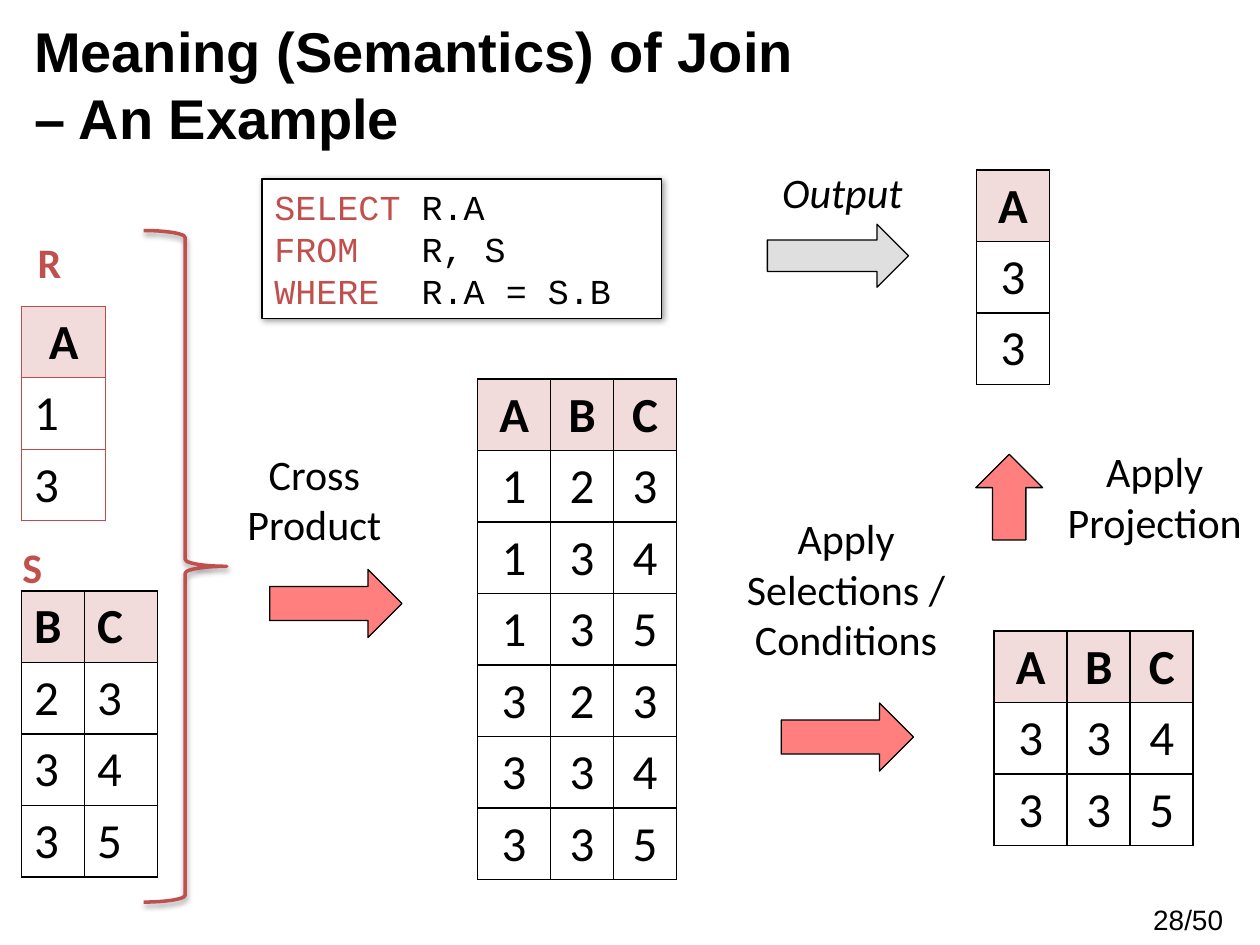
from lxml import etree
from pptx import Presentation
from pptx.dml.color import RGBColor
from pptx.enum import shapes, text
from pptx.oxml.ns import qn
from pptx.util import Inches, Pt

BLACK = RGBColor(0x00, 0x00, 0x00)
WHITE = RGBColor(0xFF, 0xFF, 0xFF)
BRICK = RGBColor(0xC0, 0x50, 0x4D)
RULE_RED = RGBColor(0xBF, 0x4C, 0x48)
PINK = RGBColor(0xF2, 0xDC, 0xDB)
RED = RGBColor(0xFF, 0x00, 0x00)
GRAY = RGBColor(0xC0, 0xC0, 0xC0)

LEFT, CENTER = text.PP_ALIGN.LEFT, text.PP_ALIGN.CENTER
SHAPE = shapes.MSO_SHAPE
COL_A, COL_B, COL_C = 0.58, 0.5, 0.5


def inches(box):
    return [Inches(v) for v in box]


def add_run(p, words, size, font="Calibri", color=BLACK, bold=False, italic=False):
    r = p.add_run()
    r.text = words
    r.font.size = Pt(size)
    r.font.name = font
    r.font.color.rgb = color
    r.font.bold = bold
    r.font.italic = italic


def add_shadow(sp, alpha, blur, dist, angle):
    effects = sp._element.spPr.find(qn("a:effectLst"))
    outer = etree.SubElement(effects, qn("a:outerShdw"), blurRad=str(Pt(blur)),
                             dist=str(Pt(dist)), dir=str(angle * 60000), rotWithShape="0")
    clr = etree.SubElement(outer, qn("a:srgbClr"), val=str(BLACK))
    etree.SubElement(clr, qn("a:alpha"), val=str(alpha * 1000))


def add_outlined(s, kind, box, line=BLACK, width=0.75):
    sp = s.shapes.add_shape(kind, *inches(box))
    sp.shadow.inherit = False
    sp.line.color.rgb = line
    sp.line.width = Pt(width)
    return sp


def add_title(s, box, lines):
    title = s.shapes.title
    title.left, title.top, title.width, title.height = inches(box)
    tf = title.text_frame
    tf.word_wrap = True
    tf.auto_size = text.MSO_AUTO_SIZE.NONE
    tf.vertical_anchor = text.MSO_ANCHOR.TOP
    for i, line in enumerate(lines):
        p = tf.add_paragraph() if i else tf.paragraphs[0]
        p.alignment = LEFT
        add_run(p, line, 32, "Arial", bold=True)


def add_label(s, box, words, size=24, align=CENTER, wrap=True, **style):
    tf = s.shapes.add_textbox(*inches(box)).text_frame
    tf.word_wrap = wrap
    p = tf.paragraphs[0]
    p.alignment = align
    add_run(p, words, size, **style)


def add_query(s, box, clauses):
    sp = add_outlined(s, SHAPE.RECTANGLE, box)
    sp.fill.solid()
    sp.fill.fore_color.rgb = WHITE
    add_shadow(sp, 40, 4, 1, 45)
    tf = sp.text_frame
    tf.word_wrap = True
    for i, (keyword, rest) in enumerate(clauses):
        p = tf.add_paragraph() if i else tf.paragraphs[0]
        p.alignment = LEFT
        add_run(p, keyword, 20, "Courier New", BRICK)
        add_run(p, rest, 20, "Courier New")


def add_brace(s, box):
    sp = add_outlined(s, SHAPE.RIGHT_BRACE, box, BRICK, 2)
    sp.fill.background()
    add_shadow(sp, 38, 3.1, 1.6, 90)


def add_arrow(s, box, color=RED, rotation=0):
    sp = add_outlined(s, SHAPE.RIGHT_ARROW, box)
    sp.fill.solid()
    sp.fill.fore_color.rgb = color
    clr = sp._element.spPr.find(qn("a:solidFill"))[0]
    etree.SubElement(clr, qn("a:alpha"), val="50000")
    sp.rotation = rotation


def set_borders(cell, color, width):
    tcPr = cell._tc.get_or_add_tcPr()
    for side in ("lnL", "lnR", "lnT", "lnB"):
        ln = etree.SubElement(tcPr, qn("a:" + side), w=str(Pt(width)))
        fill = etree.SubElement(ln, qn("a:solidFill"))
        etree.SubElement(fill, qn("a:srgbClr"), val=str(color))


def add_relation(s, left, top, widths, rows, head_align=CENTER, body_align=CENTER,
                 rule=BLACK, rule_width=1):
    """Each row is a string with one character per column; the first is the header."""
    box = (left, top, sum(widths), 0.567 * len(rows))
    table = s.shapes.add_table(len(rows), len(widths), *inches(box)).table
    table.horz_banding = False
    for col, width in zip(table.columns, widths):
        col.width = Inches(width)
    for i, row in enumerate(rows):
        for j, value in enumerate(row):
            cell = table.cell(i, j)
            set_borders(cell, rule, rule_width)
            if i == 0:
                cell.fill.solid()
                cell.fill.fore_color.rgb = PINK
            else:
                cell.fill.background()
            p = cell.text_frame.paragraphs[0]
            p.alignment = body_align if i else head_align
            add_run(p, value, 28, bold=i == 0)


def add_inputs(s):
    add_label(s, (0.2, 1.83, 0.39, 0.5), "R", align=LEFT, wrap=False, color=BRICK, bold=True)
    add_relation(s, 0.17, 2.43, [0.67], ["A", "1", "3"], body_align=LEFT,
                 rule=RULE_RED, rule_width=0.75)
    add_label(s, (0.08, 4.25, 0.36, 0.5), "S", align=LEFT, wrap=False, color=BRICK, bold=True)
    add_relation(s, 0.17, 4.69, [0.5, 0.58], ["BC", "23", "34", "35"], LEFT, LEFT)
    add_brace(s, (1.14, 1.83, 0.66, 5.33))


def add_steps(s):
    abc = [COL_A, COL_B, COL_C]
    # Cross product
    add_label(s, (1.83, 3.51, 1.33, 0.91), "Cross Product")
    add_arrow(s, (2.14, 4.52, 1.05, 0.54))
    add_relation(s, 3.79, 3.01, abc, ["ABC", "123", "134", "135", "323", "334", "335"])
    # Selection
    add_label(s, (5.75, 4.02, 1.93, 1.31), "Apply Selections / Conditions")
    add_arrow(s, (6.2, 5.58, 1.05, 0.54))
    add_relation(s, 7.89, 5.01, abc, ["ABC", "334", "335"])
    # Projection
    add_label(s, (8.31, 3.49, 1.71, 0.91), "Apply Projection")
    add_arrow(s, (7.67, 3.68, 0.68, 0.53), rotation=270)
    # Output
    add_label(s, (5.83, 1.27, 1.71, 0.5), "Output", italic=True)
    add_arrow(s, (6.09, 1.78, 1.12, 0.5), GRAY)
    add_relation(s, 7.75, 1.35, [COL_A], ["A", "3", "3"])


def main():
    prs = Presentation()
    prs.slide_width, prs.slide_height = Inches(10), Inches(7.5)
    s = prs.slides.add_slide(prs.slide_layouts[5])
    add_title(s, (0.17, 0.08, 8.51, 1.18), ["Meaning (Semantics) of Join", "– An Example"])
    add_query(s, (2.08, 1.42, 3.17, 1.11), [
        ("SELECT", " R.A"),
        ("FROM", "   R, S"),
        ("WHERE ", " R.A = S.B"),
    ])
    add_inputs(s)
    add_steps(s)
    add_label(s, (8.85, 7.11, 1.16, 0.39), "28/50", 16, font="Arial")
    prs.save("out.pptx")


if __name__ == "__main__":
    main()
